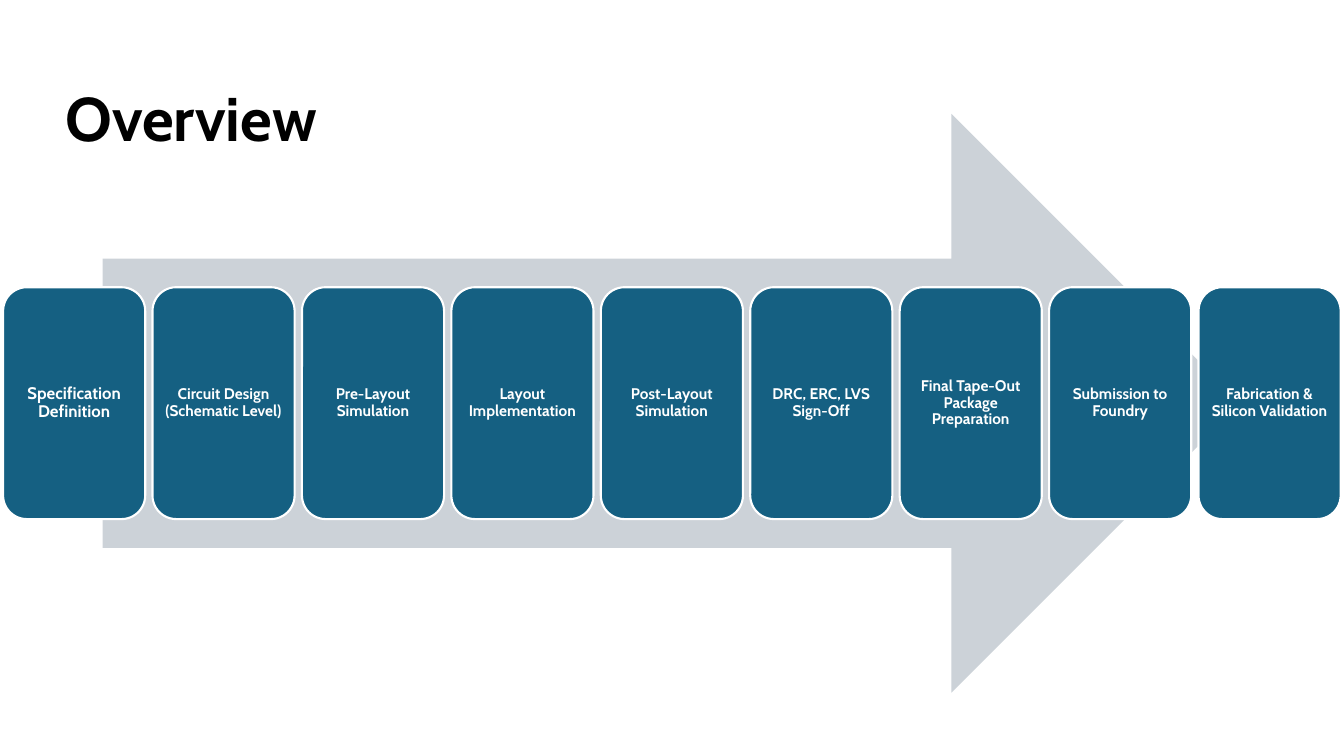
from pptx import Presentation
from pptx.dml.color import RGBColor
from pptx.enum.shapes import MSO_SHAPE as Shape
from pptx.enum.text import MSO_ANCHOR as Anchor, PP_ALIGN as Align
from pptx.util import Pt

COLORS = {"title": "000000", "arrow": "CCD2D8", "step": "156082", "white": "FFFFFF"}
STEPS = [
    "Specification Definition",
    "Circuit Design (Schematic Level)",
    "Pre-Layout Simulation",
    "Layout Implementation",
    "Post-Layout Simulation",
    "DRC, ERC, LVS Sign-Off",
    "Final Tape-Out Package Preparation",
    "Submission to Foundry",
    "Fabrication & Silicon Validation",
]
STEP_LEFT, STEP_PITCH = 2.2, 106.74


def add_filled(kind, left, top, width, height, color):
    shape = page.shapes.add_shape(kind, Pt(left), Pt(top), Pt(width), Pt(height))
    shape.shadow.inherit = False
    shape.fill.solid()
    shape.fill.fore_color.rgb = RGBColor.from_string(COLORS[color])
    return shape


def write(box, text, size, color, align):
    """Put one bold, vertically centred paragraph in the box."""
    frame = box.text_frame
    frame.word_wrap = True
    frame.vertical_anchor = Anchor.MIDDLE
    para = frame.paragraphs[0]
    para.text = text
    para.alignment = align
    para.line_spacing = 0.9
    para.font.name = "Cabin"
    para.font.size = Pt(size)
    para.font.bold = True
    para.font.color.rgb = RGBColor.from_string(COLORS[color])


deck = Presentation()
deck.slide_width, deck.slide_height = Pt(960), Pt(540)
page = deck.slides.add_slide(deck.slide_layouts[6])

title = page.shapes.add_textbox(Pt(39.6), Pt(45.4), Pt(896.4), Pt(83.5))
write(title, "Overview", 44, "title", Align.LEFT)

arrow = add_filled(Shape.RIGHT_ARROW, 73.4, 81.4, 812.9, 413.3, "arrow")
arrow.line.fill.background()

for index, step in enumerate(STEPS):
    left = STEP_LEFT + index * STEP_PITCH
    card = add_filled(Shape.ROUNDED_RECTANGLE, left, 205.2, 101.5, 165.6, "step")
    card.line.color.rgb = RGBColor.from_string(COLORS["white"])
    card.line.width = Pt(1.5)
    frame = card.text_frame
    frame.margin_left = frame.margin_right = Pt(3.3)
    frame.margin_top = frame.margin_bottom = Pt(3.3)
    write(card, step, 12 if index == 0 else 11, "white", Align.CENTER)

deck.save("out.pptx")
